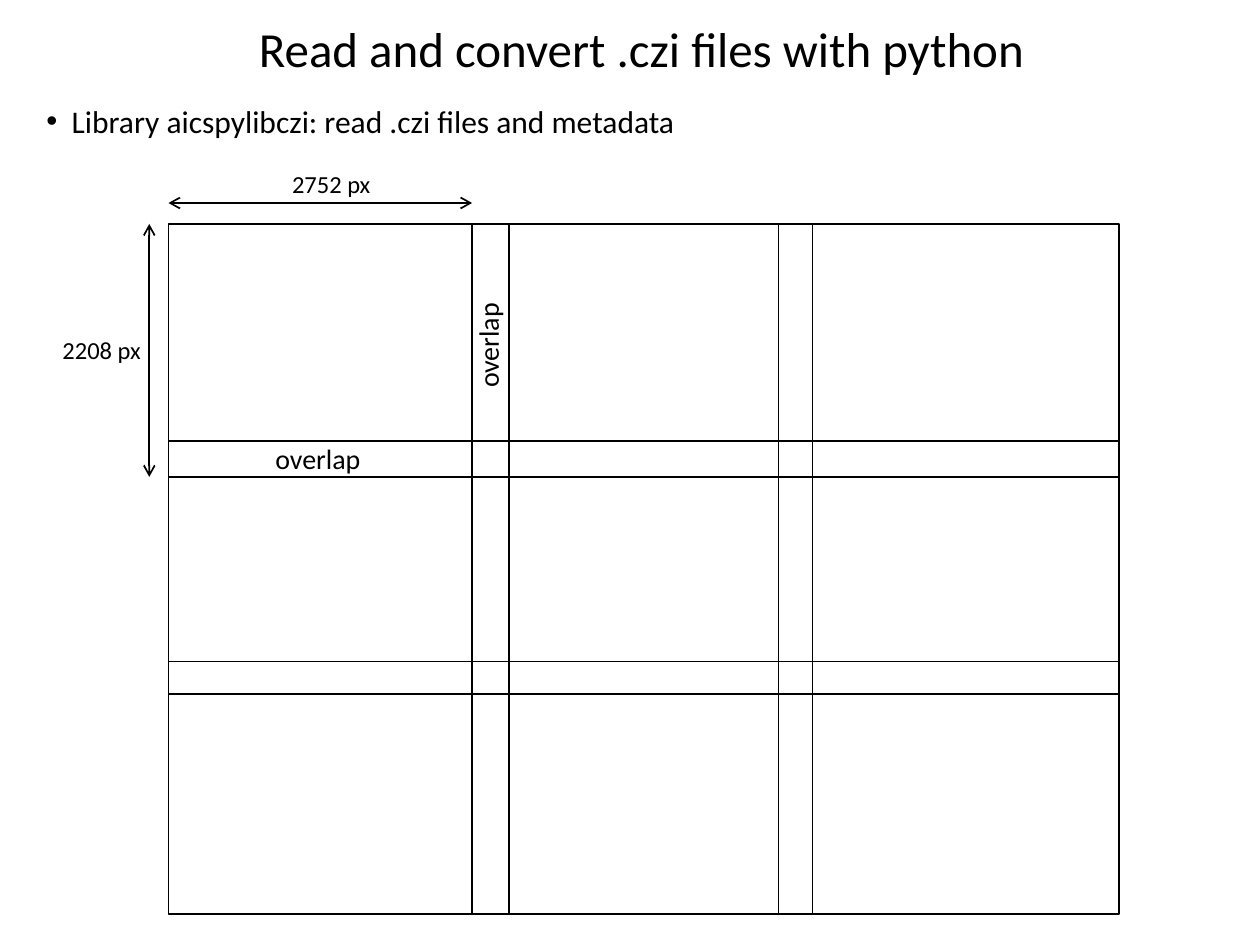
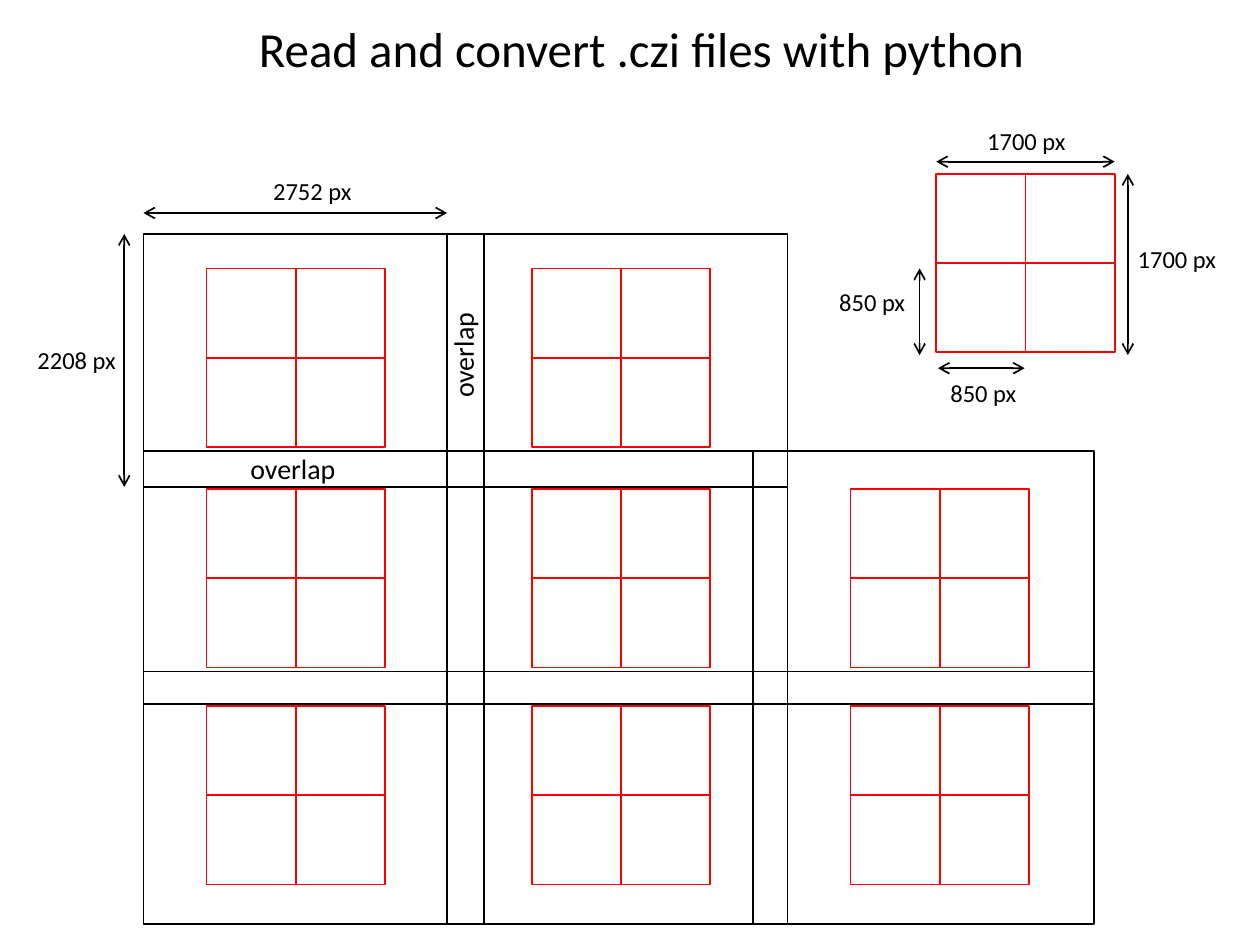
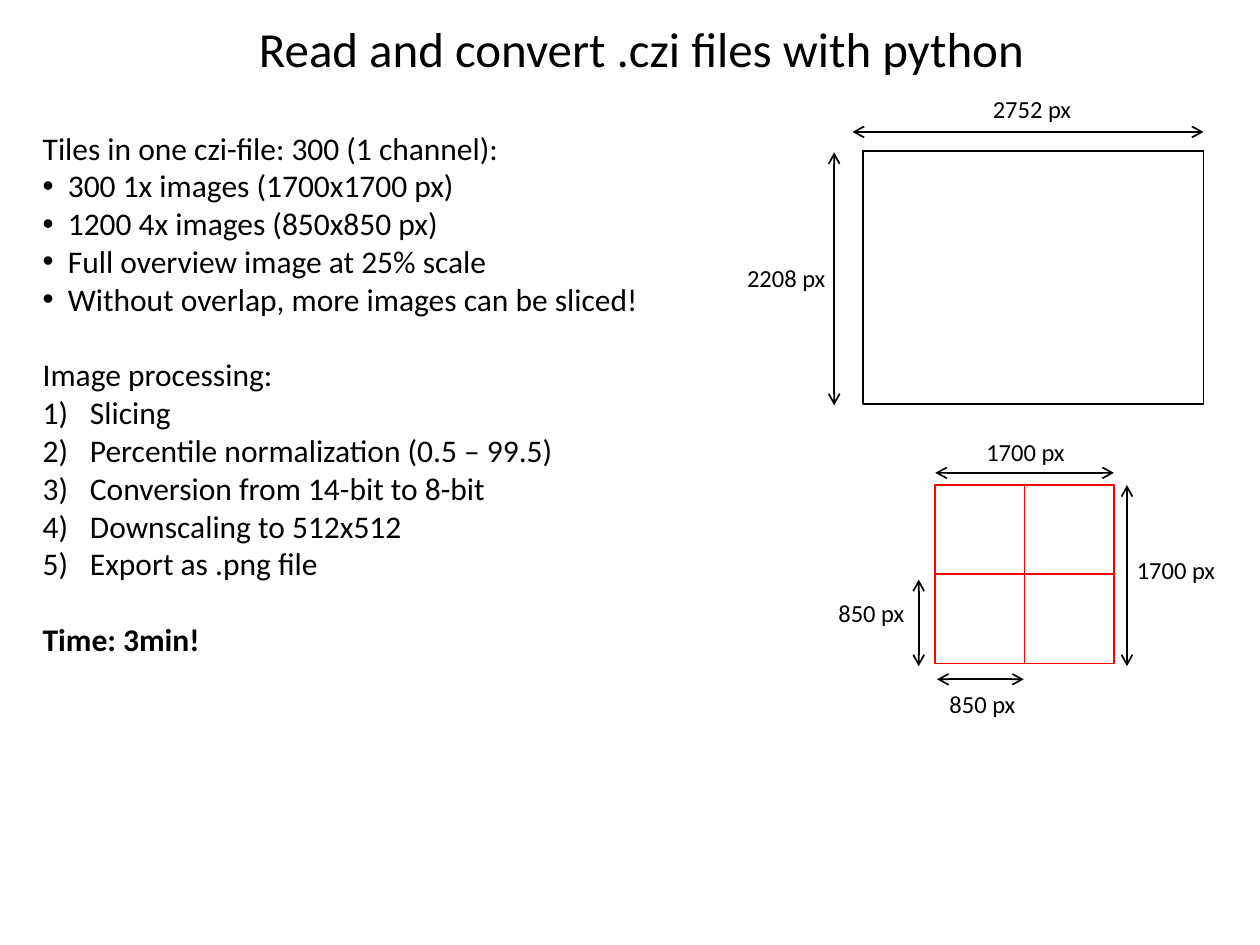
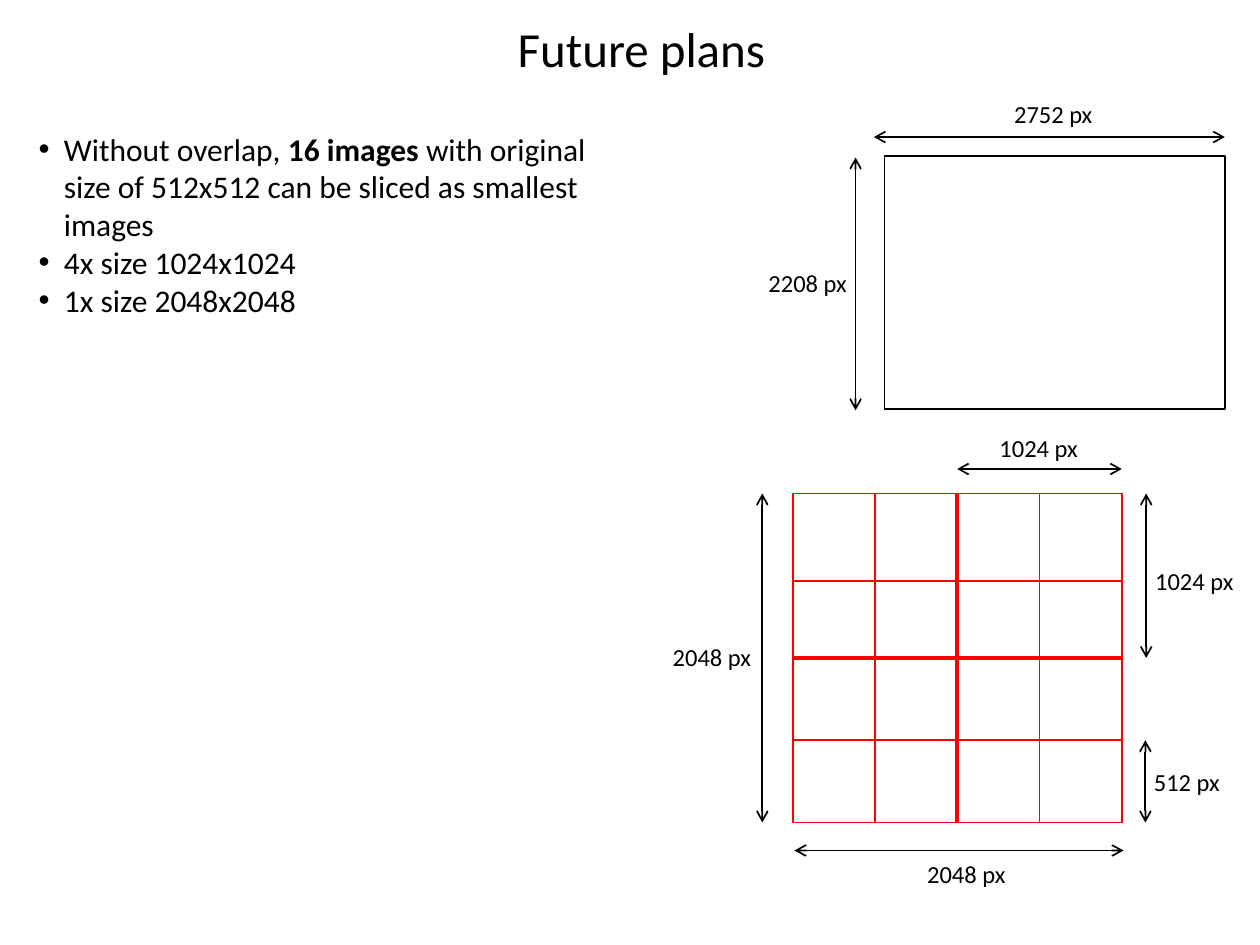
from collections import namedtuple

from lxml import etree
from pptx import Presentation
from pptx import util as u
from pptx.dml.color import RGBColor
from pptx.enum import shapes, text
from pptx.oxml.ns import qn

Pt = u.Pt
Box = namedtuple("Box", "left top width height")

FONT = "Calibri"
BLACK = "000000"
RED = "FF0000"
TITLE_BOX = Box(50.5, 7, 632, 41)
READ_TITLE = "Read and convert .czi files with python"

TILE_WIDTH, TILE_HEIGHT = 194.5, 144.5
TILE_COLUMNS = (0, 173.5, 348.5)
TILE_ROWS = (0, 124, 250)
SQUARE_SIDE = 102
SQUARE_COLUMNS = (36, 222, 404)
SQUARE_ROWS = (20, 146, 270)

BULLET = ("buChar", {"char": "•"}, 14.4)
NUMBER = ("buAutoNum", {"type": "arabicParenR"}, 27)


def color(value):
    return RGBColor.from_string(value)


def apply(target, values):
    for name, value in values.items():
        setattr(target, name, value)


def add_child(parent, tag, **values):
    return etree.SubElement(parent, qn(f"a:{tag}"), values)


def place(shape, box):
    apply(shape, {name: Pt(value) for name, value in box._asdict().items()})


def add_span(para, words, size, bold=False):
    span = para.add_run()
    span.text = words
    apply(span.font, {"name": FONT, "size": Pt(size), "bold": bold})
    span.font.color.rgb = color(BLACK)


def add_marker(para, marker):
    tag, values, indent = marker
    properties = para._p.get_or_add_pPr()
    properties.set("marL", str(Pt(indent)))
    properties.set("indent", str(-Pt(indent)))
    if tag == "buChar":
        add_child(properties, "buFont", typeface="Arial")
    add_child(properties, tag, **values)


def add_page(deck, title):
    page = deck.slides.add_slide(deck.slide_layouts[5])
    heading = page.shapes.title
    place(heading, TITLE_BOX)
    frame = heading.text_frame
    apply(frame, {"auto_size": text.MSO_AUTO_SIZE.NONE,
                  "vertical_anchor": text.MSO_ANCHOR.TOP})
    para = frame.paragraphs[0]
    para.alignment = text.PP_ALIGN.CENTER
    add_span(para, title, 28)
    return page


def add_label(page, box, words, size=14, rotation=0):
    label = page.shapes.add_textbox(*map(Pt, box))
    label.rotation = rotation
    label.text_frame.word_wrap = False
    add_span(label.text_frame.paragraphs[0], words, size)


def add_list(page, box, rows):
    frame = page.shapes.add_textbox(*map(Pt, box)).text_frame
    frame.word_wrap = True
    for index, (marker, space, spans) in enumerate(rows):
        para = frame.paragraphs[0] if index == 0 else frame.add_paragraph()
        para.space_before = Pt(space)
        if marker:
            add_marker(para, marker)
        for words, bold in spans:
            add_span(para, words, 18, bold)


def row(words, marker=None, space=0, bold=False):
    return marker, space, [(words, bold)]


def add_outline(page, box, line_color):
    outline = page.shapes.add_shape(shapes.MSO_SHAPE.RECTANGLE, *map(Pt, box))
    outline.shadow.inherit = False
    outline.fill.background()
    outline.line.color.rgb = color(line_color)
    outline.line.width = Pt(1)


def add_line(page, start, end, line_color, width=1):
    line = page.shapes.add_connector(
        shapes.MSO_CONNECTOR.STRAIGHT, *map(Pt, (*start, *end)))
    line.line.color.rgb = color(line_color)
    line.line.width = Pt(width)
    add_child(line._element.spPr, "effectLst")
    return line


def add_dimension(page, left, top, start, end, words, label_at):
    arrow = add_line(page, (left + start[0], top + start[1]),
                     (left + end[0], top + end[1]), BLACK)
    outline = arrow.line._get_or_add_ln()
    for tag in ("headEnd", "tailEnd"):
        add_child(outline, tag, type="arrow")
    width = 60 if len(words) > 6 else 53
    add_label(page, Box(left + label_at[0], top + label_at[1], width, 24.5), words)


def add_dimensions(page, left, top, rows):
    for values in rows:
        add_dimension(page, left, top, *values)


def add_cross_lines(page, left, top, side, columns, rows, width=1):
    for x in columns:
        add_line(page, (left + x, top), (left + x, top + side), RED, width)
    for y in rows:
        add_line(page, (left, top + y), (left + side, top + y), RED, width)


def add_quartered_square(page, left, top):
    half = SQUARE_SIDE / 2
    add_outline(page, Box(left, top, SQUARE_SIDE, SQUARE_SIDE), RED)
    add_cross_lines(page, left, top, SQUARE_SIDE, [half], [half])


def add_measured_square(page, left, top):
    add_quartered_square(page, left, top)
    add_dimensions(page, left, top, [
        ((0, -7), (102, -7), "1700 px", (22, -31)),
        ((109.5, 0), (109.5, 103.5), "1700 px", (108, 36.7)),
        ((-9.5, 54), (-9.5, 103.5), "850 px", (-62.5, 61)),
        ((1, 111), (50.5, 111), "850 px", (1, 113)),
    ])


def add_measured_tile(page, left, top):
    add_outline(page, Box(left, top, TILE_WIDTH, TILE_HEIGHT), BLACK)
    add_dimensions(page, left, top, [
        ((-16.5, 0.7), (-16.5, 145.2), "2208 px", (-73.4, 60.5)),
        ((-6, -11), (194.5, -11), "2752 px", (67, -36)),
    ])


def add_tile_grid(page, left, top, width_label_at, skipped=()):
    for row_index, y in enumerate(TILE_ROWS):
        for column_index, x in enumerate(TILE_COLUMNS):
            if (row_index, column_index) not in skipped:
                add_outline(page, Box(left + x, top + y, TILE_WIDTH, TILE_HEIGHT), BLACK)
    add_dimensions(page, left, top, [
        ((-11, 0), (-11, TILE_HEIGHT), "2208 px", (-67.7, 60)),
        ((0, -12), (TILE_COLUMNS[1], -12), "2752 px", width_label_at),
    ])
    add_label(page, Box(left + 54, top + 120.5, 64, 26.5), "overlap", 16)
    add_label(page, Box(left + 150.5, top + 55.5, 64, 26.5), "overlap", 16, 270)


def add_square_grid(page, left, top, skipped):
    for row_index, y in enumerate(SQUARE_ROWS):
        for column_index, x in enumerate(SQUARE_COLUMNS):
            if (row_index, column_index) not in skipped:
                add_quartered_square(page, left + x, top + y)


def add_sixteen_grid(page, left, top):
    side, half = 188, 94
    add_outline(page, Box(left, top, side, side), RED)
    add_cross_lines(page, left, top, side, [half], [half], 2.25)
    add_cross_lines(page, left, top, side, [47, 141], [50, 141])
    add_dimensions(page, left, top, [
        ((half, -14), (side, -14), "1024 px", (111, -38)),
        ((-17.4, 0), (-17.4, side), "2048 px", (-75.7, 81.6)),
        ((202, 0), (202, half), "1024 px", (200, 37.7)),
        ((201.5, 141), (201.5, side), "512 px", (199.3, 153)),
        ((1, 204), (side + 1, 204), "2048 px", (69.7, 205.4)),
    ])


def build_tiles_page(deck):
    page = add_page(deck, READ_TITLE)
    add_list(page, Box(19.5, 54.7, 664, 29), [
        row("Library aicspylibczi: read .czi files and metadata", BULLET)])
    add_tile_grid(page, 96.3, 128, (63.5, -35))


def build_squares_page(deck):
    page = add_page(deck, READ_TITLE)
    skipped = {(0, 2)}
    add_tile_grid(page, 82, 133.7, (67, -36.5), skipped)
    add_square_grid(page, 82, 133.5, skipped)
    add_measured_square(page, 535, 99.4)


def build_processing_page(deck):
    page = add_page(deck, READ_TITLE)
    results = ("300 1x images (1700x1700 px)", "1200 4x images (850x850 px)",
               "Full overview image at 25% scale",
               "Without overlap, more images can be sliced!")
    steps = ("Slicing", "Percentile normalization (0.5 – 99.5)",
             "Conversion from 14-bit to 8-bit", "Downscaling to 512x512",
             "Export as .png file")
    add_list(page, Box(17.3, 70, 461.5, 312.5), [
        row("Tiles in one czi-file: 300 (1 channel):"),
        *(row(words, BULLET) for words in results),
        row("Image processing:", space=21.6),
        *(row(words, NUMBER) for words in steps),
        row("Time: 3min!", space=21.6, bold=True),
    ])
    add_measured_tile(page, 493.2, 86.4)
    add_measured_square(page, 534.5, 277.2)


def build_plans_page(deck):
    page = add_page(deck, "Future plans")
    add_list(page, Box(15, 70.5, 354.3, 116.6), [
        (BULLET, 0, [
            ("Without overlap, ", False),
            ("16 images ", True),
            ("with original size of 512x512 can be sliced as smallest images", False),
        ]),
        row("4x size 1024x1024", BULLET),
        row("1x size 2048x2048", BULLET),
    ])
    add_measured_tile(page, 505.4, 89.3)
    add_sixteen_grid(page, 453, 282)


def main():
    deck = Presentation()
    apply(deck, {"slide_width": Pt(720), "slide_height": Pt(540)})
    for build in (build_tiles_page, build_squares_page,
                  build_processing_page, build_plans_page):
        build(deck)
    deck.save("out.pptx")


if __name__ == "__main__":
    main()
